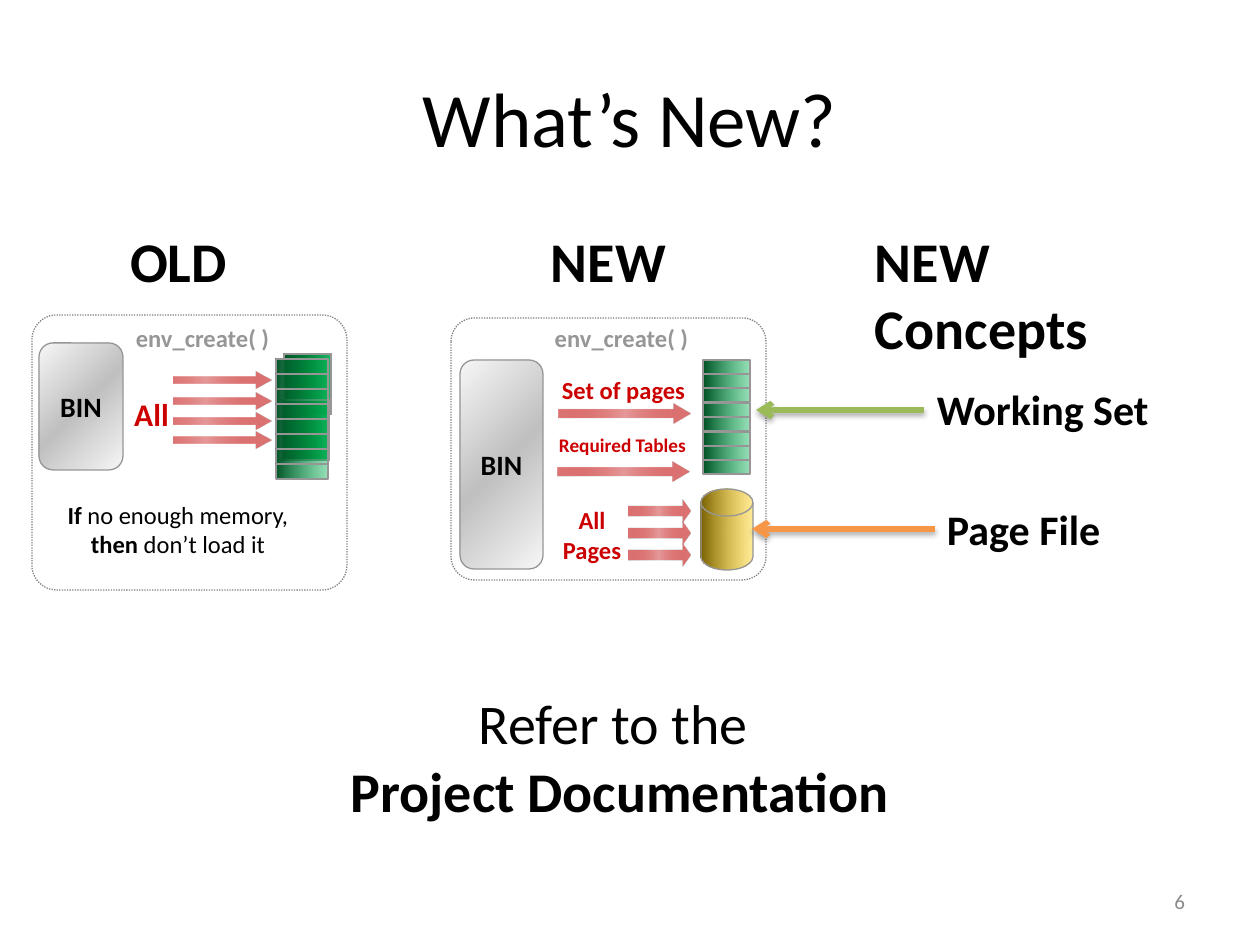
from lxml import etree
from pptx import Presentation
from pptx.dml.color import RGBColor
from pptx.enum.dml import MSO_LINE
from pptx.enum.shapes import MSO_CONNECTOR, MSO_SHAPE
from pptx.enum.text import MSO_ANCHOR, PP_ALIGN
from pptx.oxml.ns import qn
from pptx.util import Emu, Pt

PX = 914400 / 126
COLORS = {
    "black": "000000", "white": "FFFFFF", "red": "CC0000", "grey": "969696",
    "number": "8B8B8B", "frame": "808080", "green": "9BBB59", "orange": "F79646",
}
# Gradient stops: position in %, colour, opacity in %
SILVER = [(0, "F6F6F6", 100), (50, "C0C0C0", 100), (100, "F6F6F6", 100)]
RED = [(0, "DD7676", 100), (50, "C00000", 40), (100, "DD7676", 100)]
MEMORY = [(0, "005125", 100), (100, "00B050", 40)]
GOLD = [(0, "765E00", 100), (100, "FFCC00", 40)]


def emu(px):
    return Emu(round(px * PX))


def color(name):
    return RGBColor.from_string(COLORS[name])


def add_child(parent, tag, **attributes):
    return etree.SubElement(parent, qn(tag), attributes)


def write_text(shape, paragraphs, size=14, ink="black", align=PP_ALIGN.CENTER,
               anchor=MSO_ANCHOR.TOP, inset=(0, 0), wrap=True):
    """Each paragraph is a list of (text, bold) spans."""
    frame = shape.text_frame
    frame.word_wrap = wrap
    frame.vertical_anchor = anchor
    frame.margin_left = frame.margin_right = emu(inset[0])
    frame.margin_top = frame.margin_bottom = emu(inset[1])
    for index, spans in enumerate(paragraphs):
        para = frame.add_paragraph() if index else frame.paragraphs[0]
        para.alignment = align
        for text, bold in spans:
            span = para.add_run()
            span.text = text
            span.font.name = "Calibri"
            span.font.size = Pt(size)
            span.font.bold = bold
            span.font.color.rgb = color(ink)


class Diagram:
    def __init__(self, page):
        self.page = page

    def text(self, x, y, width, height, paragraphs, **style):
        box = self.page.shapes.add_textbox(emu(x), emu(y), emu(width), emu(height))
        write_text(box, paragraphs, **style)

    def heading(self, x, y, width, height, text, size):
        self.text(x, y, width, height, [[(text, True)]], size=size,
                  align=PP_ALIGN.LEFT, inset=(12, 6), wrap=False)

    def shape(self, kind, x, y, width, height, stops=None, fill=None,
              angle=0, line=None, adjust=()):
        shape = self.page.shapes.add_shape(kind, emu(x), emu(y), emu(width), emu(height))
        shape.shadow.inherit = False
        for index, value in enumerate(adjust):
            shape.adjustments[index] = value
        if stops:
            self.gradient(shape, stops, angle)
        elif fill:
            shape.fill.solid()
            shape.fill.fore_color.rgb = color(fill)
        else:
            shape.fill.background()
        if line:
            shape.line.color.rgb = color(line)
            shape.line.width = Pt(0.75)
        else:
            shape.line.fill.background()
        return shape

    def gradient(self, shape, stops, angle):
        shape.fill.gradient()
        gradient = shape.fill._xPr.find(qn("a:gradFill"))
        for child in list(gradient):
            gradient.remove(child)
        stop_list = add_child(gradient, "a:gsLst")
        for position, value, opacity in stops:
            stop = add_child(stop_list, "a:gs", pos=str(position * 1000))
            ink = add_child(stop, "a:srgbClr", val=value)
            if opacity < 100:
                add_child(ink, "a:alpha", val=str(opacity * 1000))
        add_child(gradient, "a:lin", ang=str(angle * 60000), scaled="0")

    def frame(self, x, y, width, height):
        frame = self.shape(MSO_SHAPE.ROUNDED_RECTANGLE, x, y, width, height,
                           line="frame", adjust=[0.09])
        frame.line.dash_style = MSO_LINE.ROUND_DOT

    def binary(self, x, y, width, height):
        box = self.shape(MSO_SHAPE.ROUNDED_RECTANGLE, x, y, width, height,
                         SILVER, angle=45, line="grey", adjust=[0.167])
        write_text(box, [[("BIN", True)]], size=16, anchor=MSO_ANCHOR.MIDDLE)

    def block_arrow(self, x, y, width, height, head):
        self.shape(MSO_SHAPE.RIGHT_ARROW, x, y, width, height, RED, adjust=[0.433, head])

    def memory(self, x, y, width, height):
        self.shape(MSO_SHAPE.RECTANGLE, x, y, width, height, MEMORY, line="grey")

    def label(self, x, y, width, height, text, size):
        box = self.shape(MSO_SHAPE.RECTANGLE, x, y, width, height, fill="white")
        write_text(box, [[(text, True)]], size=size, ink="red", anchor=MSO_ANCHOR.MIDDLE)

    def pointer(self, start, end, y, ink):
        arrow = self.page.shapes.add_connector(
            MSO_CONNECTOR.STRAIGHT, emu(start), emu(y), emu(end), emu(y))
        arrow.line.color.rgb = color(ink)
        arrow.line.width = Pt(3)
        add_child(arrow.line._get_or_add_ln(), "a:tailEnd", type="arrow")
        effects = add_child(arrow._element.spPr, "a:effectLst")
        shadow = add_child(effects, "a:outerShdw", blurRad="40000", dist="23000",
                           dir="5400000", rotWithShape="0")
        ink_node = add_child(shadow, "a:srgbClr", val=COLORS["black"])
        add_child(ink_node, "a:alpha", val="35000")


def main():
    deck = Presentation()
    deck.slide_width, deck.slide_height = emu(1260), emu(945)
    diagram = Diagram(deck.slides.add_slide(deck.slide_layouts[6]))

    # Title, page number and column headings
    diagram.text(63, 38, 1134, 158, [[("What’s New?", False)]], size=44,
                 anchor=MSO_ANCHOR.MIDDLE, inset=(12, 6))
    diagram.text(903, 876, 294, 50, [[("6", False)]], size=12, ink="number",
                 align=PP_ALIGN.RIGHT, anchor=MSO_ANCHOR.MIDDLE, inset=(12, 6))
    for x, width, text in [(118, 122, "OLD"), (539, 140, "NEW"), (863, 365, "NEW Concepts")]:
        diagram.heading(x, 220, width, 79, text, 32)

    # Old way: everything is loaded into memory
    diagram.frame(32, 315, 315, 275)
    diagram.binary(39, 343, 84, 127)
    for y in (372, 393, 413, 432):
        diagram.block_arrow(140, y, 131, 16, 1)
    for x, y in [(284, 354), (282, 400)]:
        for _ in range(4):
            diagram.memory(x, y, 47, 60)
    diagram.text(125, 323, 155, 32, [[("env_create( )", True)]], ink="grey")
    diagram.label(130, 368, 43, 91, "All", 18)
    diagram.text(49, 500, 258, 64, [[("If", True), (" no enough memory, ", False),
                                     ("then", True), (" don’t load it", False)]])
    for row in range(8):
        diagram.memory(276, 359 + 15 * row, 52, 15)

    # New way: a working set in memory, all pages on disk
    diagram.shape(MSO_SHAPE.FLOWCHART_MAGNETIC_DISK, 701, 489, 52, 81, GOLD, line="grey")
    diagram.frame(451, 318, 315, 262)
    diagram.binary(460, 360, 83, 209)
    for x, y in [(559, 404), (558, 462)]:
        diagram.block_arrow(x, y, 131, 19, 0.91)
    for row in range(3):
        diagram.block_arrow(627, 500 + 22 * row, 63, 22, 0.37)
    diagram.text(558, 375, 131, 30, [[("Set of pages", True)]], ink="red")
    diagram.text(557, 433, 131, 30, [[("Required Tables", True)]], size=11, ink="red")
    diagram.label(556, 499, 72, 71, "All Pages", 14)
    for row in range(8):
        diagram.memory(703, 360 + 72 * row // 5, 47, 14)
    diagram.text(544, 323, 155, 38, [[("env_create( )", True)]], ink="grey")

    # New concepts
    diagram.heading(925, 378, 237, 63, "Working Set", 24)
    diagram.pointer(924, 756, 410, "green")
    diagram.heading(935, 498, 179, 63, "Page File", 24)
    diagram.pointer(935, 752, 529, "orange")

    # Reference
    diagram.text(305, 683, 630, 146, [[("Refer to the ", False)],
                                      [("Project Documentation", True)]],
                 size=32, inset=(12, 6))
    deck.save("out.pptx")


if __name__ == "__main__":
    main()
